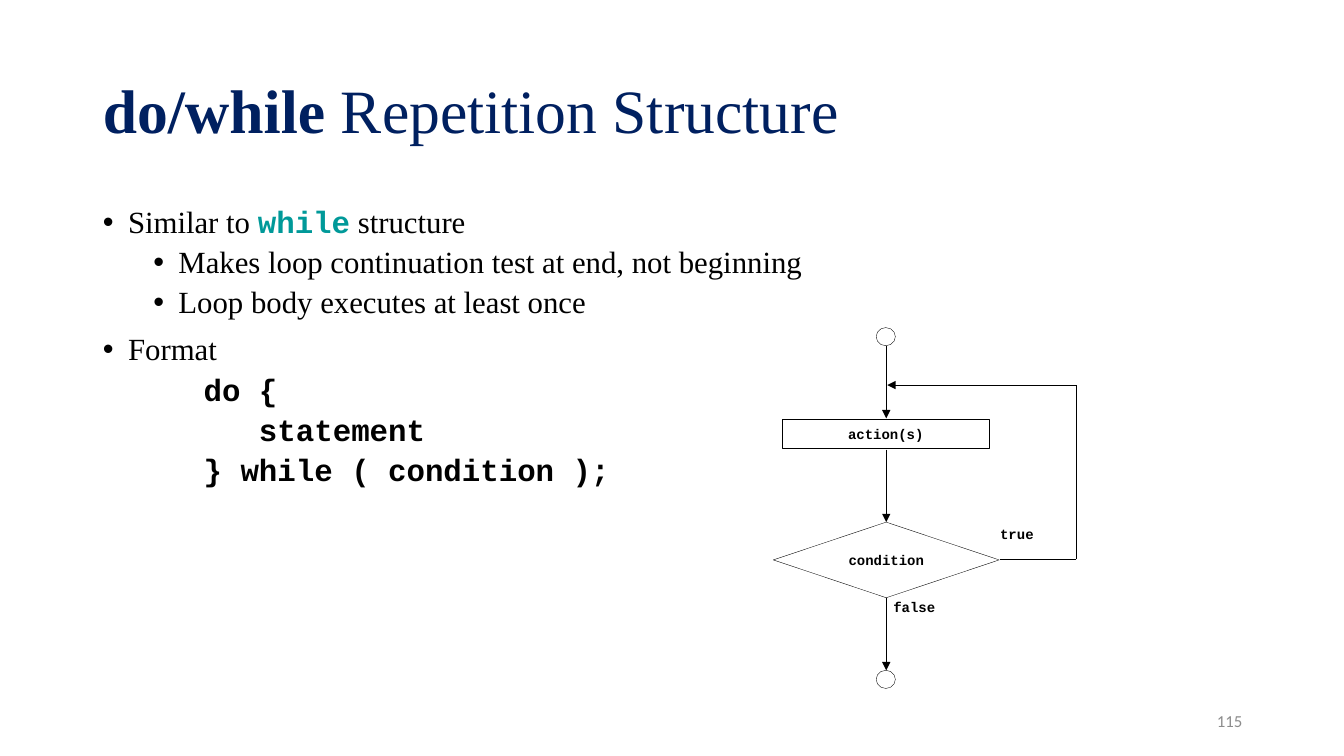
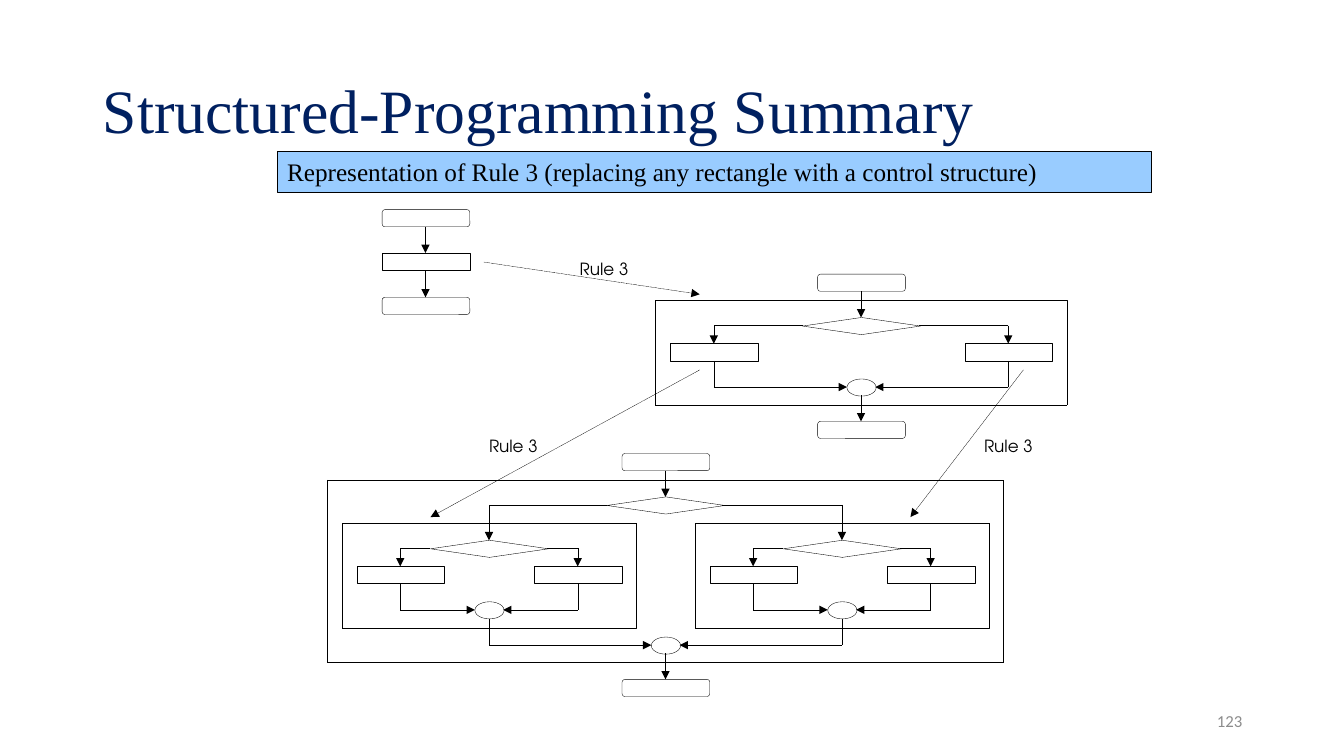
import pptx
import pptx.dml.color
import pptx.enum.dml
import pptx.enum.shapes
import pptx.enum.text
import pptx.oxml
import pptx.oxml.ns
import pptx.util

EMU_PER_PX = 9144
NAVY, BLACK, TEAL = "002060", "000000", "009999"
GREY, WHITE, SKY = "8C8C8C", "FFFFFF", "99CCFF"
SERIF, MONO = "Times New Roman", "Courier New"

SHAPES = pptx.enum.shapes.MSO_SHAPE
ANCHOR = pptx.enum.text.MSO_ANCHOR
ALIGN = pptx.enum.text.PP_ALIGN
FIT = pptx.enum.text.MSO_AUTO_SIZE
DOTTED = pptx.enum.dml.MSO_LINE.ROUND_DOT

NO_INSETS = {f"margin_{side}": 0 for side in ("left", "top", "right", "bottom")}

BOX_WIDTH, BOX_HEIGHT = 87, 17
DIAMOND_WIDTH, MERGE_WIDTH = 117, 29
ARROW = 26


def font_style(name, size, color=BLACK, bold=False):
    """Return the font values and the colour of a run."""
    return {"name": name, "size": pptx.util.Pt(size), "bold": bold}, color


TITLE = font_style(SERIF, 44, NAVY)
TITLE_BOLD = font_style(SERIF, 44, NAVY, True)
BODY = font_style(SERIF, 22)
CODE = font_style(MONO, 22, bold=True)
KEYWORD = font_style(MONO, 22, TEAL, True)
FLOW_LABEL = font_style(MONO, 10, bold=True)
RULE_LABEL = font_style("TeX Gyre Adventor", 12)
BANNER = font_style(SERIF, 18)
PAGE_NUMBER = font_style("Calibri", 12, GREY)


def px(*lengths):
    """Turn px lengths into a list of EMU lengths."""
    return [pptx.util.Emu(length * EMU_PER_PX) for length in lengths]


def rgb(color):
    """Turn a hex string into a colour."""
    return pptx.dml.color.RGBColor.from_string(color)


def set_values(target, values):
    """Set every named attribute on the target."""
    for name, value in values.items():
        setattr(target, name, value)


def add_xml(parent, tag, attributes=""):
    """Append a drawing element to the parent."""
    namespace = pptx.oxml.ns.nsdecls("a")
    parent.append(pptx.oxml.parse_xml(f"<a:{tag} {namespace} {attributes}/>"))


def write_runs(paragraph, runs, **values):
    """Write styled runs into a paragraph."""
    set_values(paragraph, values)
    for text, (font_values, color) in runs:
        run = paragraph.add_run()
        run.text = text
        set_values(run.font, font_values)
        run.font.color.rgb = rgb(color)


def place(shape, left, top, width, height):
    """Move and size a shape."""
    set_values(shape, dict(zip(("left", "top", "width", "height"),
                               px(left, top, width, height))))


def add_label(slide, text, style, box, align=ALIGN.LEFT, **frame_values):
    """Add a text box with one run."""
    frame = slide.shapes.add_textbox(*px(*box)).text_frame
    set_values(frame, {"word_wrap": True, **frame_values})
    write_runs(frame.paragraphs[0], [(text, style)], alignment=align)


def add_outline(slide, kind, box, fill=None, width=0.25, dash=None):
    """Add a preset shape with a thin black outline."""
    shape = slide.shapes.add_shape(kind, *px(*box))
    shape.shadow.inherit = False
    if fill:
        shape.fill.solid()
        shape.fill.fore_color.rgb = rgb(fill)
    else:
        shape.fill.background()
    shape.line.color.rgb = rgb(BLACK)
    set_values(shape.line, {"width": pptx.util.Pt(width), "dash_style": dash})
    return shape


def add_route(slide, *points, arrow=True, dash=None):
    """Join points with straight lines, the last one ending in an arrowhead."""
    for index in range(1, len(points)):
        connector = slide.shapes.add_connector(
            pptx.enum.shapes.MSO_CONNECTOR.STRAIGHT,
            *px(*points[index - 1], *points[index]))
        connector.line.color.rgb = rgb(BLACK)
        set_values(connector.line, {"width": pptx.util.Pt(0.25), "dash_style": dash})
        properties = connector.element.spPr
        if arrow and index == len(points) - 1:
            add_xml(properties.get_or_add_ln(), "tailEnd", 'type="triangle"')
        add_xml(properties, "effectLst")


def add_flow_text(shape, text):
    """Write a centred label inside a flowchart shape."""
    frame = shape.text_frame
    set_values(frame, {"vertical_anchor": ANCHOR.MIDDLE, "word_wrap": True, **NO_INSETS})
    write_runs(frame.paragraphs[0], [(text, FLOW_LABEL)], alignment=ALIGN.CENTER)


def add_slide(presentation, layout, title_runs, number):
    """Add a slide with its title and page number."""
    slide = presentation.slides.add_slide(presentation.slide_layouts[layout])
    title = slide.shapes.title
    place(title, 92, 40, 1150, 145)
    set_values(title.text_frame, {"vertical_anchor": ANCHOR.MIDDLE,
                                  "word_wrap": True, "auto_size": FIT.NONE})
    write_runs(title.text_frame.paragraphs[0], title_runs,
               alignment=ALIGN.LEFT, line_spacing=0.9)
    add_label(slide, str(number), PAGE_NUMBER, (942, 695, 300, 40),
              ALIGN.RIGHT, vertical_anchor=ANCHOR.MIDDLE)
    return slide


def add_list(slide, items):
    """Fill the body placeholder with levelled items; level two is code."""
    body = slide.placeholders[1]
    place(body, 92, 200, 1150, 476)
    frame = body.text_frame
    set_values(frame, {"word_wrap": True, "auto_size": FIT.NONE})
    for index, (level, runs) in enumerate(items):
        paragraph = frame.add_paragraph() if index else frame.paragraphs[0]
        properties = paragraph._p.get_or_add_pPr()
        margin, indent = px(25 + 50 * level, -25)
        properties.set("marL", str(margin))
        properties.set("indent", str(indent))
        if level < 2:
            add_xml(properties, "buFont", 'typeface="Arial"')
            add_xml(properties, "buChar", 'char="•"')
        else:
            add_xml(properties, "buNone")
        space = 0 if not index else 5 if level else 10
        write_runs(paragraph, runs, level=level, line_spacing=0.9,
                   space_before=pptx.util.Pt(space))


def add_box(slide, center, top, kind=SHAPES.RECTANGLE):
    """Add a small box centred on a vertical axis."""
    add_outline(slide, kind, (center - BOX_WIDTH // 2, top, BOX_WIDTH, BOX_HEIGHT))


def add_frame(slide, center, top, half_width, height):
    """Add a dotted frame around a control structure."""
    add_outline(slide, SHAPES.RECTANGLE,
                (center - half_width, top, 2 * half_width, height), dash=DOTTED)


def add_split(slide, center, top, reach, bottom):
    """Add a diamond with an arrow down each side."""
    half, middle = DIAMOND_WIDTH // 2, top + BOX_HEIGHT // 2
    add_outline(slide, SHAPES.DIAMOND,
                (center - half, top, DIAMOND_WIDTH, BOX_HEIGHT), WHITE)
    for side in (-1, 1):
        end = center + side * reach
        add_route(slide, (center + side * half, middle), (end, middle), (end, bottom))


def add_merge(slide, center, top, reach, middle):
    """Add an ellipse where the arrows of both sides meet."""
    half = MERGE_WIDTH // 2
    add_outline(slide, SHAPES.OVAL,
                (center - half, middle - BOX_HEIGHT // 2, MERGE_WIDTH, BOX_HEIGHT))
    for side in (-1, 1):
        start = center + side * reach
        add_route(slide, (start, top), (start, middle), (center + side * half, middle))


def add_choice(slide, center, top, reach):
    """Add a framed two-way selection."""
    box_top = top + ARROW
    add_frame(slide, center, top - BOX_HEIGHT, reach + 58, 104)
    add_split(slide, center, top, reach, box_top)
    for side in (-1, 1):
        add_box(slide, center + side * reach, box_top)
    add_merge(slide, center, box_top + BOX_HEIGHT, reach, top + 69)


def add_terminals(slide, center, top, bottom):
    """Add the rounded start and end boxes around a structure."""
    for box_top, start in ((top - ARROW - BOX_HEIGHT, top - ARROW),
                           (bottom + ARROW, bottom)):
        add_box(slide, center, box_top, SHAPES.ROUNDED_RECTANGLE)
        add_route(slide, (center, start), (center, start + ARROW))


def build_loop_slide(presentation):
    """Build the slide on the do/while structure."""
    slide = add_slide(presentation, 1, [("do/while", TITLE_BOLD),
                                        (" Repetition Structure", TITLE)], 115)
    add_list(slide, [
        (0, [("Similar to ", BODY), ("while", KEYWORD), (" structure", BODY)]),
        (1, [("Makes loop continuation test at end, not beginning", BODY)]),
        (1, [("Loop body executes at least once", BODY)]),
        (0, [("Format", BODY)]),
        (2, [("do {", CODE)]),
        (2, [("   statement", CODE)]),
        (2, [("} while ( condition );", CODE)]),
    ])
    center = 879
    for top in (325, 665):
        add_outline(slide, SHAPES.OVAL, (center - 10, top, 19, 18))
    for start in (343, 446, 593):
        add_route(slide, (center, start), (center, start + 72))
    add_route(slide, (992, 555), (1067, 555), (1067, 382), (center + 1, 382))
    action = add_outline(slide, SHAPES.RECTANGLE, (776, 416, 205, 29))
    add_flow_text(action, "action(s)")
    condition = add_outline(slide, SHAPES.DIAMOND, (767, 518, 224, 75), WHITE)
    add_flow_text(condition, "condition")
    add_label(slide, "true", FLOW_LABEL, (992, 521, 66, 36), **NO_INSETS)
    add_label(slide, "false", FLOW_LABEL, (886, 594, 81, 36), **NO_INSETS)


def build_summary_slide(presentation):
    """Build the slide on replacing rectangles by control structures."""
    slide = add_slide(presentation, 5, [("Structured-Programming Summary", TITLE)], 123)

    add_terminals(slide, 422, 251, 269)
    add_box(slide, 422, 251)

    add_terminals(slide, 854, 315, 392)
    add_choice(slide, 854, 315, 146)

    center, reach = 660, 175
    add_terminals(slide, center, 493, 648)
    add_frame(slide, center, 476, 335, 181)
    add_split(slide, center, 493, reach, 536)
    for side in (-1, 1):
        add_choice(slide, center + side * reach, 536, 88)
    add_merge(slide, center, 614, reach, 640)

    for start, end, label in (((480, 260), (694, 292), (575, 257)),
                              ((694, 367), (427, 513), (485, 432)),
                              ((1015, 367), (903, 513), (976, 432))):
        add_route(slide, start, end, dash=DOTTED)
        add_label(slide, "Rule 3", RULE_LABEL, (*label, 75, 17), **NO_INSETS)

    banner = add_outline(slide, SHAPES.RECTANGLE, (275, 150, 867, 41), SKY, 0.75)
    set_values(banner.text_frame, {"word_wrap": True, "vertical_anchor": ANCHOR.TOP,
                                   "auto_size": FIT.SHAPE_TO_FIT_TEXT})
    text = "Representation of Rule 3 (replacing any rectangle with a control structure)"
    write_runs(banner.text_frame.paragraphs[0], [(text, BANNER)], alignment=ALIGN.LEFT)


def main():
    """Build and save the presentation."""
    presentation = pptx.Presentation()
    presentation.slide_width, presentation.slide_height = px(1333, 750)
    build_loop_slide(presentation)
    build_summary_slide(presentation)
    presentation.save("out.pptx")


if __name__ == "__main__":
    main()
